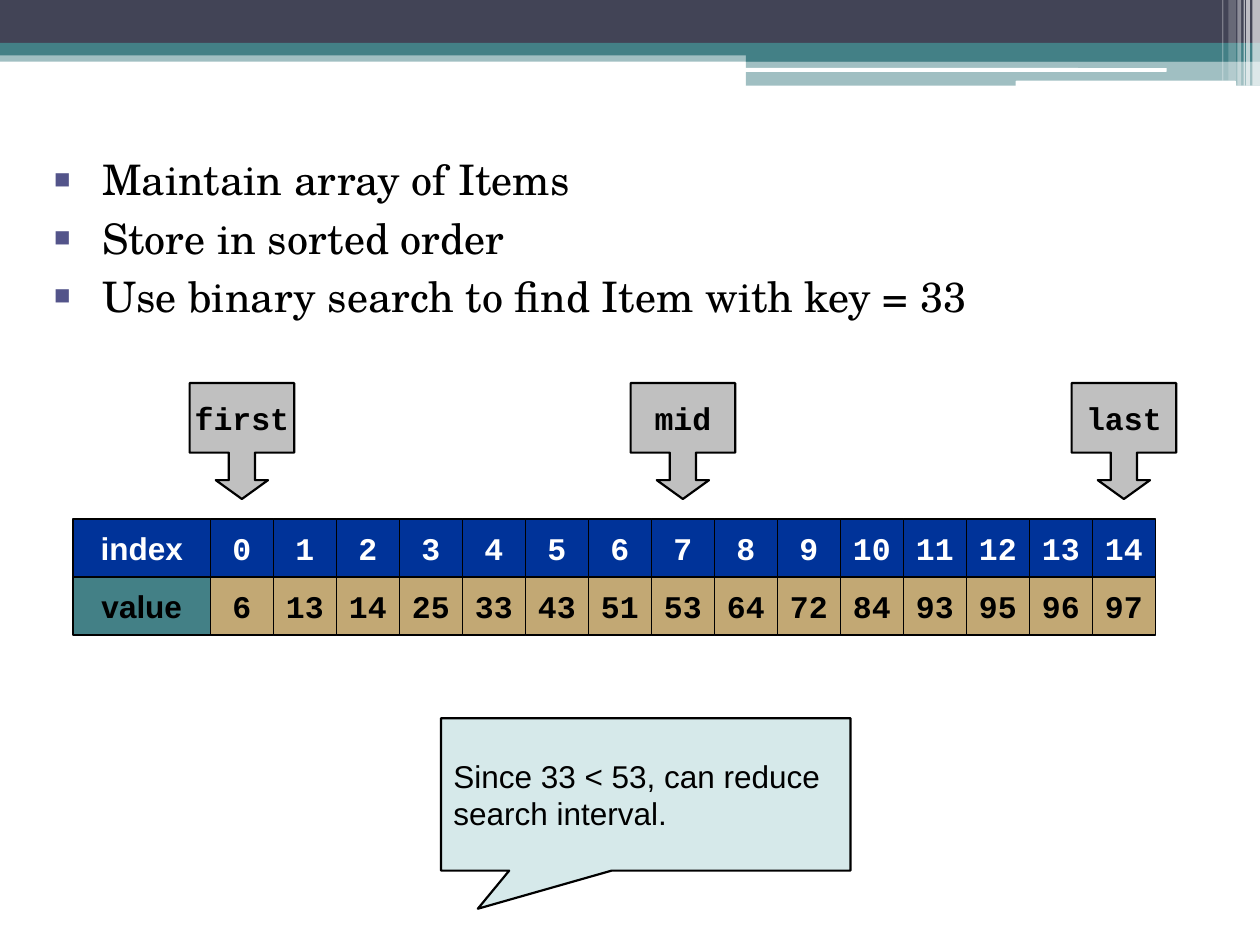
from dataclasses import dataclass

from lxml.etree import SubElement
from pptx import Presentation
from pptx.dml.color import RGBColor
from pptx.enum.shapes import MSO_SHAPE
from pptx.enum.text import MSO_ANCHOR, PP_ALIGN
from pptx.oxml.ns import qn
from pptx.util import Inches, Pt


@dataclass(frozen=True)
class Theme:
    dark: str = "424456"
    teal: str = "438086"
    white: str = "FFFFFF"
    black: str = "000000"
    blue: str = "003399"
    tan: str = "C2A874"
    gray: str = "C0C0C0"
    pale: str = "D6E9EA"
    bullet: str = "53548A"
    serif: str = "TeX Gyre Schola"
    sans: str = "Arial"
    mono: str = "Courier New"
    list_size: int = 24
    size: int = 18


theme = Theme()
prs = Presentation()
prs.slide_width, prs.slide_height = Inches(10), Inches(7.5)
slide = prs.slides.add_slide(prs.slide_layouts[1])
title, body = slide.placeholders
title.element.getparent().remove(title.element)


def box(kind, place, fill, alpha=100, line=0):
    """Add a flat shape; alpha is opacity in percent, line is in points."""
    shape = slide.shapes.add_shape(kind, *map(Inches, place))
    shape.shadow.inherit = False
    shape.fill.solid()
    shape.fill.fore_color.rgb = RGBColor.from_string(fill)
    if alpha < 100:
        color = shape.element.spPr.find(f"{qn('a:solidFill')}/{qn('a:srgbClr')}")
        SubElement(color, qn("a:alpha"), val=str(alpha * 1000))
    if line:
        shape.line.color.rgb = RGBColor.from_string(theme.black)
        shape.line.width = Pt(line)
    else:
        shape.line.fill.background()
    return shape


def label(shape, text, face, color=theme.black, bold=True, wrap=False, align=PP_ALIGN.CENTER):
    frame = shape.text_frame
    frame.text = text
    frame.word_wrap = wrap
    frame.vertical_anchor = MSO_ANCHOR.MIDDLE
    para = frame.paragraphs[0]
    para.alignment = align
    font = para.font
    font.name, font.size, font.bold = face, Pt(theme.size), bold
    font.color.rgb = RGBColor.from_string(color)


# Header bands
RECT, ROUND = MSO_SHAPE.RECTANGLE, MSO_SHAPE.ROUNDED_RECTANGLE
for kind, place, fill, alpha in [
    (RECT, (0, 0.4, 10, 0.09), theme.teal, 50),
    (RECT, (0, 0, 10, 0.34), theme.dark, 100),
    (RECT, (0, 0.34, 10, 0.1), theme.teal, 100),
    (RECT, (5.92, 0.39, 4.08, 0.1), theme.teal, 100),
    (RECT, (5.92, 0.48, 4.08, 0.2), theme.teal, 50),
    (ROUND, (5.91, 0.54, 3.35, 0.03), theme.white, 100),
    (ROUND, (8.06, 0.64, 1.75, 0.05), theme.white, 100),
]:
    box(kind, place, fill, alpha)

# Pale stripes at the right edge
for left, width, height, alpha in [
    (9.94, 0.06, 0.68, 65),
    (9.89, 0.03, 0.68, 65),
    (9.87, 0.01, 0.68, 60),
    (9.82, 0.03, 0.68, 40),
    (9.75, 0.06, 0.64, 20),
    (9.7, 0.01, 0.64, 30),
]:
    box(RECT, (left, 0, width, height), theme.white, alpha)

# Bullet list
body.left, body.top = Inches(0.33), Inches(1.17)
body.width, body.height = Inches(9.33), Inches(1.75)
frame = body.text_frame
frame.text = "\n".join([
    "Maintain array of Items",
    "Store in sorted order",
    "Use binary search to find Item with key = 33",
])
for num, para in enumerate(frame.paragraphs):
    props = para._p.get_or_add_pPr()
    props.set("marL", str(Inches(0.38)))
    props.set("indent", str(-Inches(0.38)))
    color = SubElement(props, qn("a:buClr"))
    SubElement(color, qn("a:srgbClr"), val=theme.bullet)
    SubElement(props, qn("a:buSzPct"), val="65000")
    SubElement(props, qn("a:buFont"), typeface=theme.sans)
    SubElement(props, qn("a:buChar"), char="■")
    para.space_before = Pt(4.5 if num else 0)
    para.font.name, para.font.size = theme.serif, Pt(theme.list_size)
    para.font.color.rgb = RGBColor.from_string(theme.black)

# Sorted array, one box per cell
values = [6, 13, 14, 25, 33, 43, 51, 53, 64, 72, 84, 93, 95, 96, 97]
rows = [
    ("index", range(len(values)), theme.blue, theme.blue, theme.white),
    ("value", values, theme.teal, theme.tan, theme.black),
]
left, start, top = 0.58, 1.67, 4.12
step, high = 0.5, 0.46
for row, (name, items, first, rest, ink) in enumerate(rows):
    y = top + row * high
    head = box(RECT, (left, y, start - left, high), first, line=0.75)
    label(head, name, theme.sans, ink)
    for col, item in enumerate(items):
        cell = box(RECT, (start + col * step, y, step, high), rest, line=0.75)
        label(cell, str(item), theme.mono, ink)

# Pointers centred over their array cells
wide = 0.83
for name, index in [("first", 0), ("mid", 7), ("last", 14)]:
    mark = start + step * (index + 0.5) - wide / 2
    arrow = box(MSO_SHAPE.DOWN_ARROW_CALLOUT, (mark, 3.04, wide, 0.92), theme.gray, line=1.25)
    for num, value in enumerate([0.25, 0.25, 0.18, 0.6]):
        arrow.adjustments[num] = value
    label(arrow, name, theme.mono)

# Remark
note = box(MSO_SHAPE.RECTANGULAR_CALLOUT, (3.5, 5.7, 3.25, 1.21), theme.pale, line=1.25)
note.adjustments[0], note.adjustments[1] = -0.41, 0.75
label(note, "Since 33 < 53, can reduce search interval.", theme.sans,
      bold=False, wrap=True, align=PP_ALIGN.LEFT)

prs.save("out.pptx")
